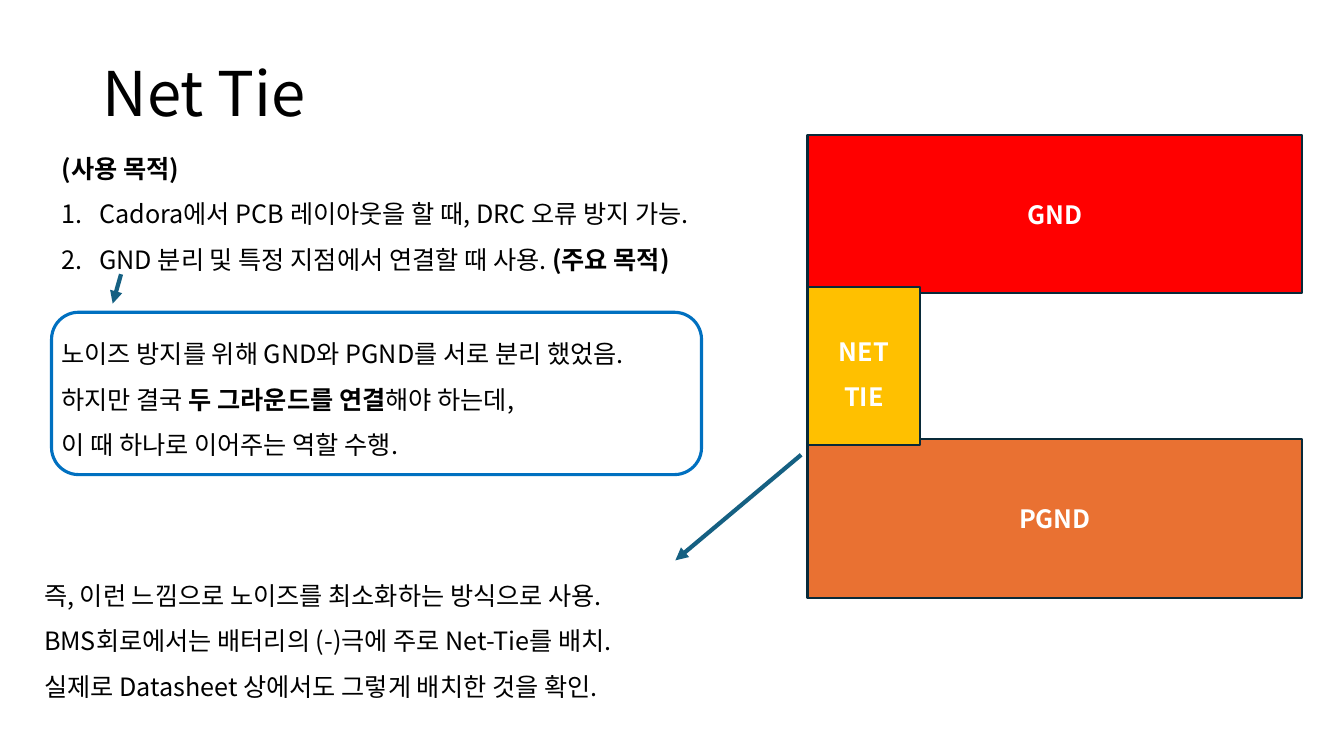
from lxml import etree
from pptx import Presentation
from pptx import util as u
from pptx.dml import color
from pptx.enum import shapes, text
from pptx.oxml import ns

FONT = "Noto Sans CJK KR"
BLACK, WHITE, ARROW, OUTLINE = "000000", "FFFFFF", "156082", "092A39"
BODY = {"size": u.Pt(18), "bold": False}
BOLD = {**BODY, "bold": True}
LINES = {"line_spacing": 1.5, "space_before": u.Pt(0), "space_after": u.Pt(0)}


def rgb(value):
    return color.RGBColor.from_string(value)


def set_values(target, values):
    for name, value in values.items():
        setattr(target, name, value)


def add_xml(parent, tag, **attributes):
    return etree.SubElement(parent, ns.qn(tag), attributes)


def place(shape, box):
    names = ("left", "top", "width", "height")
    set_values(shape, {name: u.Cm(value) for name, value in zip(names, box)})


def write(frame, paragraphs, paragraph_format, ink=BLACK):
    """Each paragraph is a list of (words, font values)."""
    for index, runs in enumerate(paragraphs):
        paragraph = frame.paragraphs[0] if index == 0 else frame.add_paragraph()
        set_values(paragraph, paragraph_format)
        for words, font_format in runs:
            run = paragraph.add_run()
            run.text = words
            set_values(run.font, font_format)
            run.font.color.rgb = rgb(ink)
            run.font.name = FONT
            add_xml(run.font._element, "a:ea", typeface=FONT)


def add_text(slide, box, paragraphs):
    frame = slide.shapes.add_textbox(*map(u.Cm, box)).text_frame
    frame.word_wrap = True
    write(frame, paragraphs, LINES)


def add_box(slide, kind, box, line, weight, fill=None):
    shape = slide.shapes.add_shape(kind, *map(u.Cm, box))
    shape.shadow.inherit = False
    if fill:
        shape.fill.solid()
        shape.fill.fore_color.rgb = rgb(fill)
    else:
        shape.fill.background()
    shape.line.color.rgb = rgb(line)
    shape.line.width = u.Pt(weight)
    return shape


def add_arrow(slide, start, end):
    arrow = slide.shapes.add_connector(
        shapes.MSO_CONNECTOR.STRAIGHT, *map(u.Cm, start + end))
    arrow.line.color.rgb = rgb(ARROW)
    arrow.line.width = u.Pt(3)
    add_xml(arrow.line._get_or_add_ln(), "a:tailEnd", type="triangle")
    add_xml(arrow._element.spPr, "a:effectLst")


def fill_title(slide, box):
    title = slide.shapes.title
    place(title, box)
    set_values(title.text_frame, {"vertical_anchor": text.MSO_ANCHOR.MIDDLE,
                                  "auto_size": text.MSO_AUTO_SIZE.NONE})
    write(title.text_frame, [[("Net Tie", {"size": u.Pt(44)})]],
          {"line_spacing": 0.9, "alignment": text.PP_ALIGN.LEFT})


def fill_purpose(slide, box):
    body = slide.placeholders[1]
    place(body, box)
    body.text_frame.auto_size = text.MSO_AUTO_SIZE.NONE
    write(body.text_frame, [
        [("(사용 목적)", BOLD)],
        [("Cadora에서 PCB 레이아웃을 할 때, DRC 오류 방지 가능.", BODY)],
        [("GND 분리 및 특정 지점에서 연결할 때 사용. ", BODY), ("(주요 목적)", BOLD)],
    ], LINES)
    # Plain heading, then numbered items with a hanging indent
    for index, paragraph in enumerate(body.text_frame.paragraphs):
        properties = paragraph._p.get_or_add_pPr()
        indent = u.Cm(0.95) if index else 0
        properties.set("marL", str(indent))
        properties.set("indent", str(-indent))
        if index:
            add_xml(properties, "a:buFont", typeface="+mj-lt")
            add_xml(properties, "a:buAutoNum", type="arabicPeriod")
        else:
            add_xml(properties, "a:buNone")


def add_explanation(slide, box):
    left, top, width, height = box
    add_text(slide, (left, top + 0.16, width + 1.5, height - 0.5), [
        [("노이즈 방지를 위해 GND와 PGND를 서로 분리 했었음.", BODY)],
        [("하지만 결국 ", BODY), ("두 그라운드를 연결", BOLD), ("해야 하는데,", BODY)],
        [("이 때 하나로 이어주는 역할 수행.", BODY)],
    ])
    add_box(slide, shapes.MSO_SHAPE.ROUNDED_RECTANGLE, box, "0070C0", 2.25)


def add_diagram(slide, box):
    left, top, width, height = box
    block, tie_width = 3.99, 2.84
    step = (height - block) / 2
    # Ground planes first, so that the tie overlaps both
    for row, block_width, fill, words, spacing in (
            (0, width, "FF0000", ["GND"], 1.0),
            (2, width, "E97132", ["PGND"], 1.0),
            (1, tie_width, "FFC000", ["NET", "TIE"], 1.5)):
        shape = add_box(slide, shapes.MSO_SHAPE.RECTANGLE,
                        (left, top + row * step, block_width, block),
                        OUTLINE, 1.5, fill)
        shape.text_frame.vertical_anchor = text.MSO_ANCHOR.MIDDLE
        write(shape.text_frame, [[(word, BOLD)] for word in words],
              {"alignment": text.PP_ALIGN.CENTER, "line_spacing": spacing}, WHITE)


def add_conclusion(slide, box):
    add_text(slide, box, [[(line, BODY)] for line in (
        "즉, 이런 느낌으로 노이즈를 최소화하는 방식으로 사용.",
        "BMS회로에서는 배터리의 (-)극에 주로 Net-Tie를 배치.",
        "실제로 Datasheet 상에서도 그렇게 배치한 것을 확인.")])


def main():
    presentation = Presentation()
    presentation.slide_width = u.Cm(33.87)
    presentation.slide_height = u.Cm(19.05)
    slide = presentation.slides.add_slide(presentation.slide_layouts[1])

    # Left column
    fill_title(slide, (2.34, 1.02, 29.21, 2.84))
    fill_purpose(slide, (1.3, 3.35, 17.4, 3.58))
    add_arrow(slide, (3.05, 6.91), (2.84, 7.65))
    add_explanation(slide, (1.3, 7.87, 16.38, 4.09))

    # Ground diagram and its conclusion
    add_diagram(slide, (20.35, 3.4, 12.47, 11.66))
    add_arrow(slide, (20.19, 11.46), (17.02, 14.12))
    add_conclusion(slide, (0.86, 14.12, 16.05, 3.58))

    presentation.save("out.pptx")


if __name__ == "__main__":
    main()
